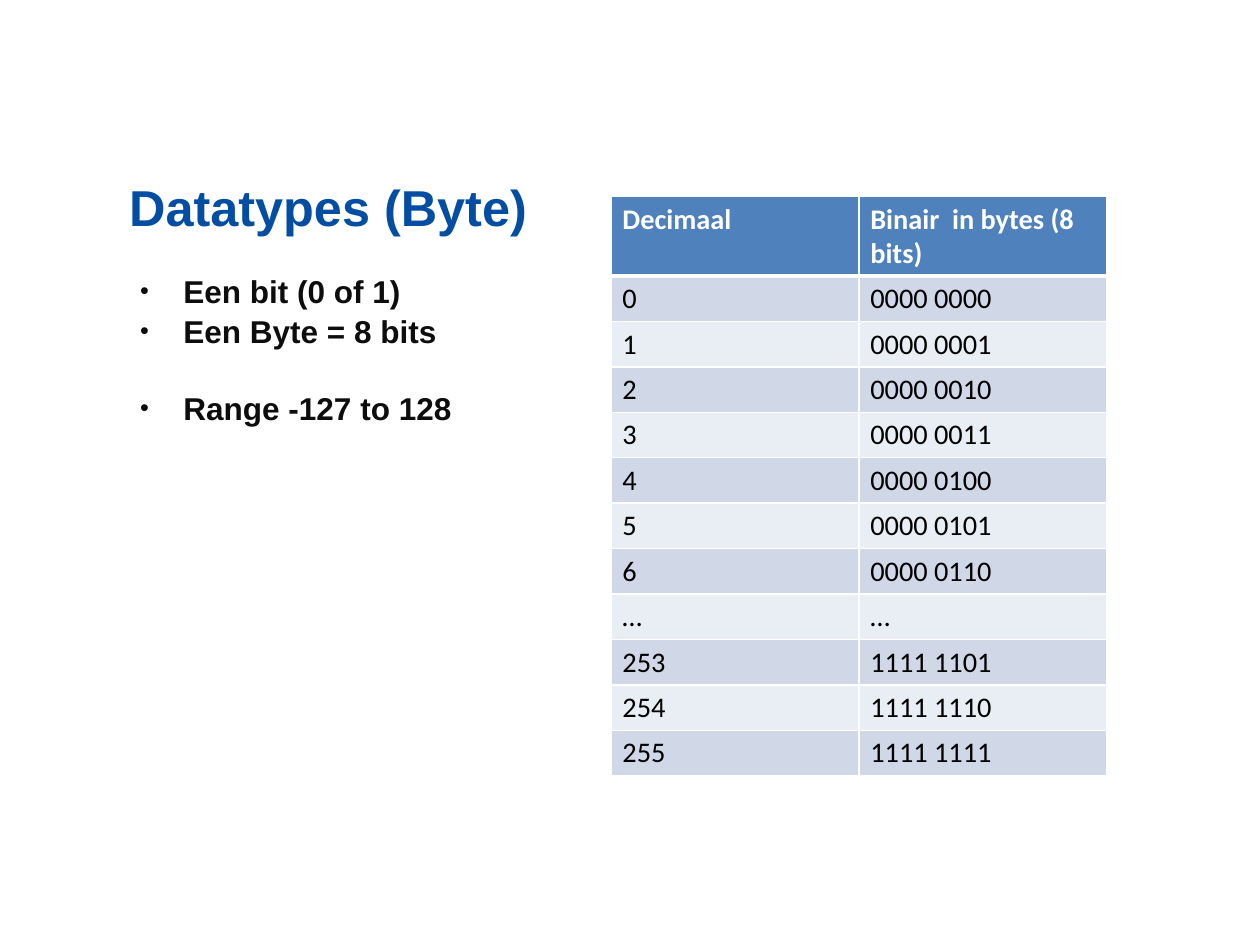
import dataclasses

import lxml.etree
import pptx
import pptx.dml.color
import pptx.enum.text
import pptx.oxml.ns
import pptx.util

SLIDE_WIDTH, SLIDE_HEIGHT = pptx.util.Inches(11.11), pptx.util.Inches(8.33)
GRID_COLUMNS, GRID_ROWS = 200, 150


@dataclasses.dataclass(frozen=True)
class Theme:
    title_color: str = "034EA2"
    body_color: str = "0D0D0D"
    header_text: str = "FFFFFF"
    cell_text: str = "000000"
    border: str = "FFFFFF"
    header_fill: str = "4F81BD"
    band_fills: tuple = ("D0D8E8", "E9EDF4")
    text_font: str = "Arial"
    table_font: str = "Calibri"
    title_size: int = 32
    body_size: int = 20
    table_size: int = 18


THEME = Theme()

# Each bullet has its text and the space before it in points.
BULLETS = [("Een bit (0 of 1)", 0), ("Een Byte = 8 bits", 0), ("Range -127 to 128", 24)]
HEADER = ("Decimaal", "Binair  in bytes (8 bits)")


def grid_box(column, row, columns, rows):
    """Return left, top, width and height in EMU for a box on the slide grid."""
    unit_x, unit_y = SLIDE_WIDTH / GRID_COLUMNS, SLIDE_HEIGHT / GRID_ROWS
    return tuple(round(length) for length in
                 (column * unit_x, row * unit_y, columns * unit_x, rows * unit_y))


def rgb(color):
    return pptx.dml.color.RGBColor.from_string(color)


def add_run(paragraph, text, font_name, size, color, bold):
    run = paragraph.add_run()
    run.text = text
    run.font.name = font_name
    run.font.size = pptx.util.Pt(size)
    run.font.color.rgb = rgb(color)
    run.font.bold = bold


def add_child(parent, tag, **attributes):
    return lxml.etree.SubElement(parent, pptx.oxml.ns.qn(tag), attributes)


def place_title(slide, box, text):
    title = slide.shapes.title
    title.left, title.top, title.width, title.height = box
    frame = title.text_frame
    frame.margin_left = frame.margin_top = frame.margin_right = frame.margin_bottom = 0
    frame.vertical_anchor = pptx.enum.text.MSO_ANCHOR.TOP
    frame.auto_size = pptx.enum.text.MSO_AUTO_SIZE.NONE
    paragraph = frame.paragraphs[0]
    paragraph.alignment = pptx.enum.text.PP_ALIGN.LEFT
    add_run(paragraph, text, THEME.text_font, THEME.title_size, THEME.title_color, True)


def add_bullets(slide, box, bullets):
    frame = slide.shapes.add_textbox(*box).text_frame
    frame.word_wrap = True
    indent = pptx.util.Inches(0.38)
    for index, (text, space_before) in enumerate(bullets):
        paragraph = frame.add_paragraph() if index else frame.paragraphs[0]
        paragraph.line_spacing = 1.05
        paragraph.space_before = pptx.util.Pt(space_before)
        add_run(paragraph, text, THEME.text_font, THEME.body_size, THEME.body_color, True)
        properties = paragraph._p.get_or_add_pPr()
        properties.set("marL", str(indent))
        properties.set("indent", str(-indent))
        add_child(properties, "a:buSzPct", val="80000")
        add_child(properties, "a:buFont", typeface=THEME.text_font)
        add_child(properties, "a:buChar", char="•")


def border_cell(cell, top_width, bottom_width):
    properties = cell._tc.get_or_add_tcPr()
    widths = {"a:lnL": 1, "a:lnR": 1, "a:lnT": top_width, "a:lnB": bottom_width}
    for tag, width in widths.items():
        line = add_child(properties, tag, w=str(pptx.util.Pt(width)))
        add_child(add_child(line, "a:solidFill"), "a:srgbClr", val=THEME.border)


def byte_rows():
    def row(number):
        bits = f"{number:08b}"
        return str(number), f"{bits[:4]} {bits[4:]}"

    return [*map(row, range(7)), ("…", "…"), *map(row, range(253, 256))]


def add_byte_table(slide, box):
    rows = [HEADER, *byte_rows()]
    left, top, width, height = box
    table = slide.shapes.add_table(len(rows), len(HEADER), *box).table
    for column in table.columns:
        column.width = width // len(HEADER)
    header_share, row_share = 7, 4
    share = height / (header_share + row_share * (len(rows) - 1))
    for index, values in enumerate(rows):
        is_header = index == 0
        table.rows[index].height = round(share * (header_share if is_header else row_share))
        fill = THEME.header_fill if is_header else THEME.band_fills[(index - 1) % 2]
        color = THEME.header_text if is_header else THEME.cell_text
        for column, value in enumerate(values):
            cell = table.cell(index, column)
            border_cell(cell, 3 if index == 1 else 1, 3 if is_header else 1)
            cell.fill.solid()
            cell.fill.fore_color.rgb = rgb(fill)
            add_run(cell.text_frame.paragraphs[0], value,
                    THEME.table_font, THEME.table_size, color, is_header)


def main():
    presentation = pptx.Presentation()
    presentation.slide_width, presentation.slide_height = SLIDE_WIDTH, SLIDE_HEIGHT
    title_only = presentation.slide_layouts.get_by_name("Title Only")
    slide = presentation.slides.add_slide(title_only)
    place_title(slide, grid_box(20.5, 28, 171, 9), "Datatypes (Byte)")
    add_bullets(slide, grid_box(20.5, 42, 171, 85.5), BULLETS)
    add_byte_table(slide, grid_box(97, 31.2, 78.7, 91.8))
    presentation.save("out.pptx")


if __name__ == "__main__":
    main()
